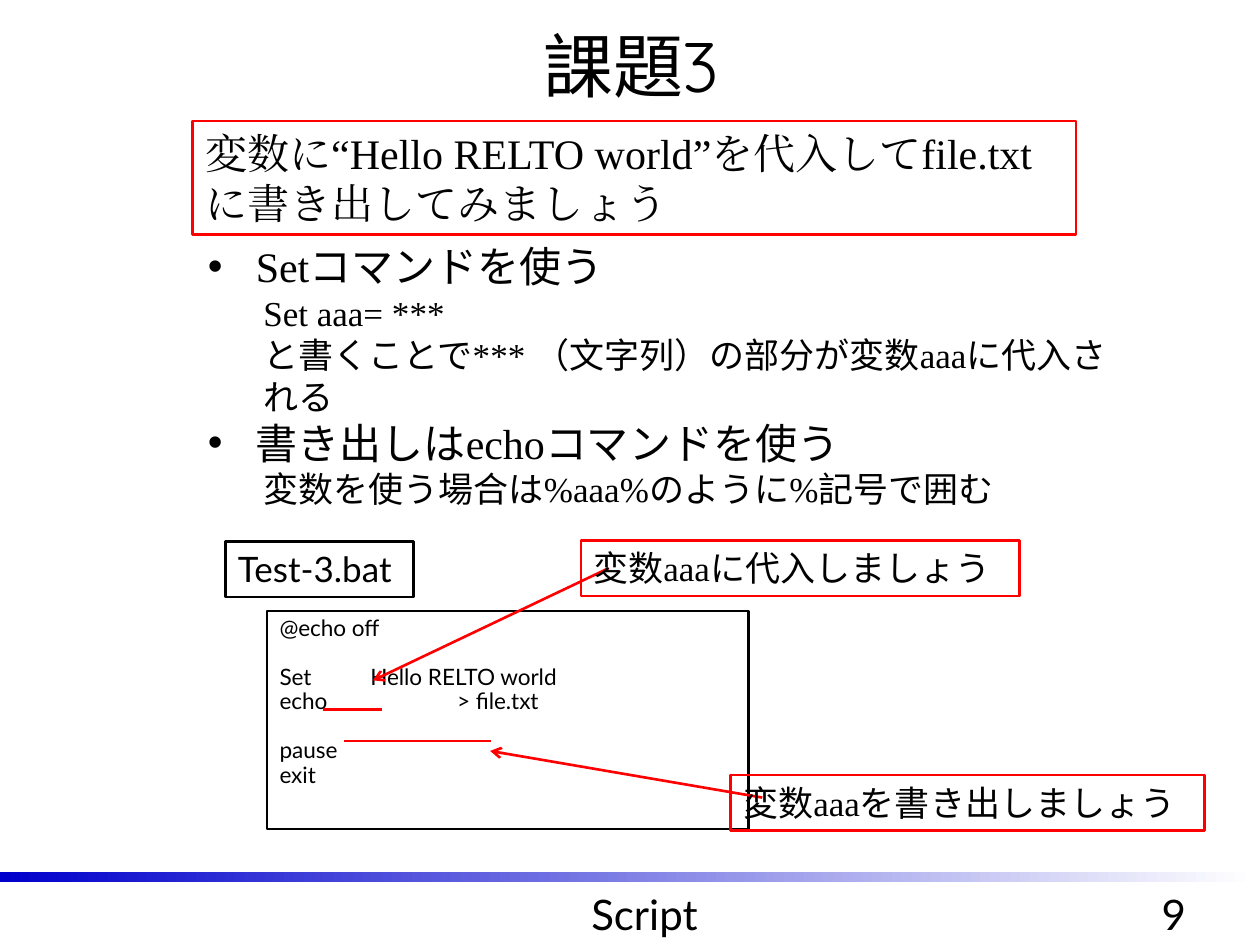
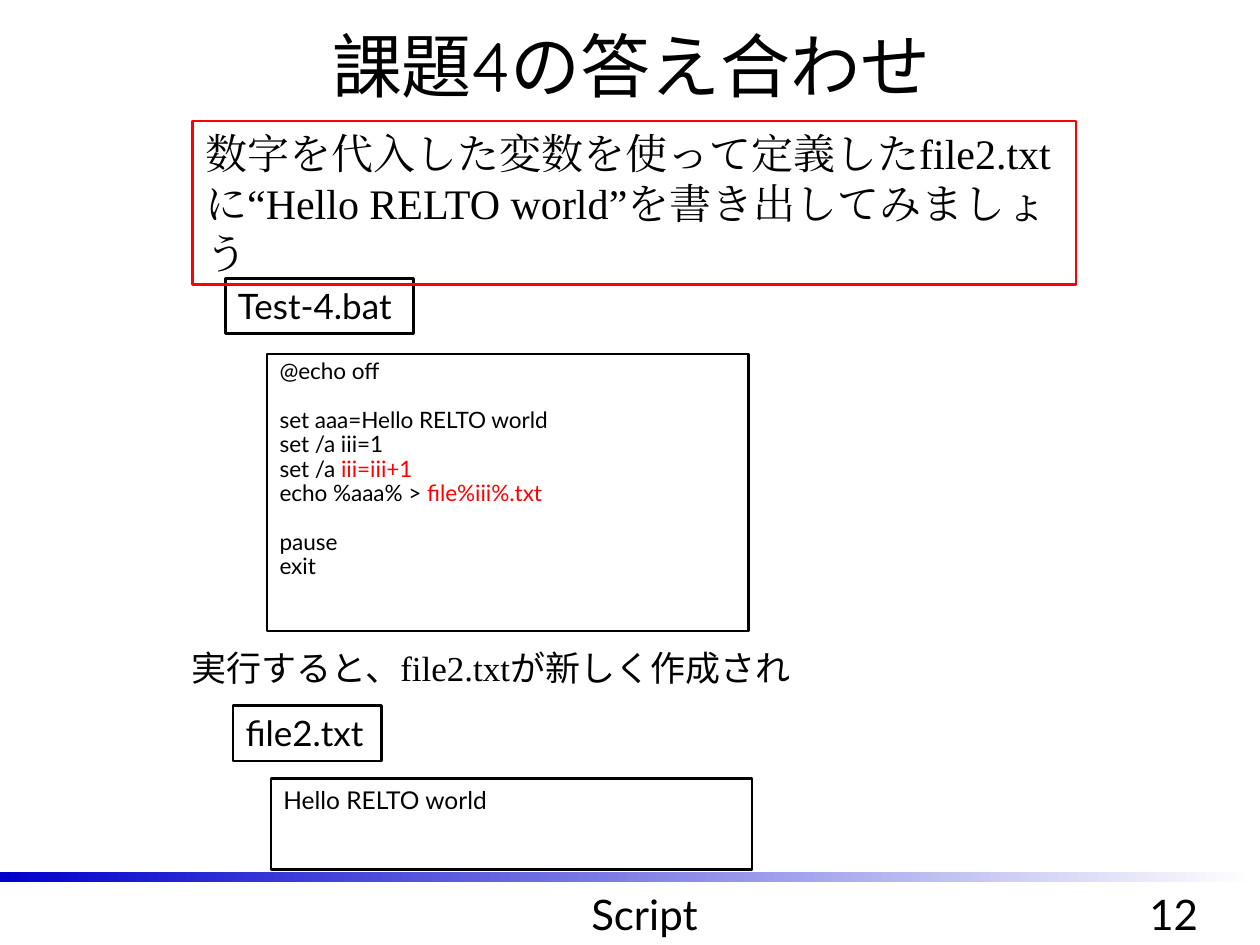
from lxml.etree import SubElement
from pptx import Presentation
from pptx.dml.color import RGBColor
from pptx.enum.shapes import MSO_CONNECTOR as Connector, MSO_SHAPE as Preset
from pptx.enum.text import MSO_ANCHOR as Anchor, MSO_AUTO_SIZE as AutoSize, PP_ALIGN as Align
from pptx.oxml.ns import qn
from pptx.util import Inches, Pt

BLACK = RGBColor(0x00, 0x00, 0x00)
RED = RGBColor(0xFF, 0x00, 0x00)
WHITE = RGBColor(0xFF, 0xFF, 0xFF)
BLUE = RGBColor(0x00, 0x00, 0xCC)

LATIN = "Lato"
SERIF = "Times New Roman"
HEADING = "Quicksand"

GREETING = "Hello RELTO world"
TITLE_AND_BODY, TITLE_ONLY = 1, 5
CODE_SIZE = 12.9
CODE_GAP = Pt(14)
TIGHT = {"space_before": Pt(0), "alignment": Align.LEFT}
CENTRED = {"space_before": Pt(0), "alignment": Align.CENTER}
FRAME = {
    "margin_left": Inches(0.1), "margin_right": Inches(0.1),
    "margin_top": Inches(0.05), "margin_bottom": Inches(0.05),
    "vertical_anchor": Anchor.TOP, "auto_size": AutoSize.NONE, "word_wrap": True,
}
GROWING = {"auto_size": AutoSize.SHAPE_TO_FIT_TEXT}
UNWRAPPED = {**GROWING, "word_wrap": False}
LABEL = {**GROWING, "margin_right": Inches(0)}


def apply(target, values):
    """Set every attribute named in a dict of format values."""
    for name, value in values.items():
        setattr(target, name, value)


def inches(*lengths):
    """Turn numbers into lengths."""
    return [Inches(length) for length in lengths]


def place(shape, area):
    """Move and size a shape to left, top, width, height."""
    apply(shape, dict(zip(("left", "top", "width", "height"), inches(*area))))


def write(para, text, size, font, layout=TIGHT):
    """Fill a paragraph with plain text or with (text, colour) pairs."""
    apply(para, layout)
    for words, colour in [(text, BLACK)] if isinstance(text, str) else text:
        span = para.add_run()
        span.text = words
        apply(span.font, {"size": Pt(size), "name": font})
        span.font.color.rgb = colour


def paragraphs(frame, count):
    """Give the first paragraph and as many added ones as are needed."""
    return [frame.paragraphs[0]] + [frame.add_paragraph() for _ in range(count - 1)]


def add_title(page, text):
    """Put the heading in the title placeholder."""
    title = page.shapes.title
    place(title, (1.98, -0.11, 6.06, 1.25))
    apply(title.text_frame, {**FRAME, "vertical_anchor": Anchor.MIDDLE})
    write(title.text_frame.paragraphs[0], text, 40, HEADING, CENTRED)


def add_text(page, area, text, size, font, layout=TIGHT, frame=GROWING):
    """Add a text box of one paragraph."""
    box = page.shapes.add_textbox(*inches(*area))
    apply(box.text_frame, {**FRAME, **frame})
    write(box.text_frame.paragraphs[0], text, size, font, layout)


def add_footer(page, number):
    """Draw the gradient band, the section name and the page number."""
    band = page.shapes.add_shape(Preset.RECTANGLE, *inches(0, 6.92, 9.96, 0.08))
    band.shadow.inherit = False
    band.line.fill.background()
    band.fill.gradient()
    band.fill.gradient_angle = 0
    for stop, colour in zip(band.fill.gradient_stops, (BLUE, WHITE)):
        stop.color.rgb = colour
    add_text(page, (8.92, 7, 0.79, 0.5), number, 24, LATIN, CENTRED)
    add_text(page, (3.58, 7, 3.07, 0.5), "Script", 24, LATIN, CENTRED)


def add_frame(page, area, colour, fill=None, frame=FRAME):
    """Add an outlined rectangle ready for text."""
    box = page.shapes.add_shape(Preset.RECTANGLE, *inches(*area))
    box.shadow.inherit = False
    if fill is None:
        box.fill.background()
    else:
        box.fill.solid()
        box.fill.fore_color.rgb = fill
    box.line.color.rgb = colour
    box.line.width = Pt(1.5)
    apply(box.text_frame, {**FRAME, **frame})
    return box


def add_task(page, height, text):
    """Add the red box that states the task, with narrow quotation marks."""
    box = add_frame(page, (1.53, 0.96, 7.01, height), RED, frame=GROWING)
    para = box.text_frame.paragraphs[0]
    write(para, text, 24, SERIF)
    for span in para.runs:
        SubElement(span._r.get_or_add_rPr(), qn("a:ea"), typeface=SERIF)


def add_label(page, left, top, width, text, colour=BLACK, font=LATIN):
    """Add a one-line box for a file name or a hint."""
    box = add_frame(page, (left, top, width, 0.44), colour, frame=LABEL)
    write(box.text_frame.paragraphs[0], text, 20, font)


def add_code(page, area, groups, tabs=None):
    """Add a listing whose groups of lines stand apart; tabs maps lines to tab stops."""
    box = add_frame(page, area, BLACK, WHITE)
    lines = [(line, CODE_GAP if index == 0 and group is not groups[0] else Pt(0))
             for group in groups for index, line in enumerate(group)]
    for para, (line, gap) in zip(paragraphs(box.text_frame, len(lines)), lines):
        write(para, line, CODE_SIZE, LATIN,
              {**TIGHT, "space_before": gap, "line_spacing": 0.9})
        if tabs and line in tabs:
            stops = SubElement(para._p.get_or_add_pPr(), qn("a:tabLst"))
            SubElement(stops, qn("a:tab"), pos=str(Inches(tabs[line])), algn="l")


def add_body(page, area, items):
    """Fill the body placeholder with (level, text) items."""
    body = page.placeholders[1]
    place(body, area)
    apply(body.text_frame, {**FRAME, **GROWING})
    for para, (level, text) in zip(paragraphs(body.text_frame, len(items)), items):
        write(para, text, 20 if level else 24, SERIF, {**TIGHT, "level": level})
        margin, indent = (0.44, 0) if level else (0.38, -0.38)
        settings = para._p.get_or_add_pPr()
        settings.set("marL", str(Inches(margin)))
        settings.set("indent", str(Inches(indent)))
        if level:
            SubElement(settings, qn("a:buNone"))
        else:
            SubElement(settings, qn("a:buChar"), char="•")


def add_line(page, start, end, arrow=False):
    """Draw a red line, with an open arrowhead if asked."""
    line = page.shapes.add_connector(Connector.STRAIGHT, *inches(*start, *end))
    line.line.color.rgb = RED
    line.line.width = Pt(1.5)
    properties = line._element.spPr
    if arrow:
        SubElement(properties.find(qn("a:ln")), qn("a:tailEnd"), type="arrow")
    SubElement(properties, qn("a:effectLst"))


def build_task_page(deck):
    """Build the page that sets task 3."""
    page = deck.slides.add_slide(deck.slide_layouts[TITLE_AND_BODY])
    add_footer(page, "9")
    add_task(page, 0.9, f"変数に“{GREETING}”を代入してfile.txtに書き出してみましょう")
    add_title(page, "課題3")
    add_body(page, (1.55, 1.86, 7.37, 2.24), [
        (0, "Setコマンドを使う"),
        (1, "Set aaa= ***"),
        (1, "と書くことで*** （文字列）の部分が変数aaaに代入される"),
        (0, "書き出しはechoコマンドを使う"),
        (1, "変数を使う場合は%aaa%のように%記号で囲む"),
    ])
    add_label(page, 1.79, 4.3, 1.49, "Test-3.bat")
    assign, output = f"Set\t{GREETING}", "echo\t> file.txt"
    add_code(page, (2.12, 4.85, 3.82, 1.73),
             [["@echo off"], [assign, output], ["pause", "exit"]],
             {assign: 0.72, output: 1.41})
    add_line(page, (2.56, 5.63), (3.03, 5.63))
    add_line(page, (4.83, 4.51), (2.96, 5.4), arrow=True)
    add_label(page, 4.61, 4.29, 3.48, "変数aaaに代入しましょう", RED, SERIF)
    add_line(page, (2.73, 5.88), (3.9, 5.88))
    add_line(page, (6.05, 6.33), (3.89, 5.96), arrow=True)
    add_label(page, 5.8, 6.15, 3.76, "変数aaaを書き出しましょう", RED, SERIF)


def build_answer_page(deck):
    """Build the page that answers task 4."""
    page = deck.slides.add_slide(deck.slide_layouts[TITLE_ONLY])
    add_footer(page, "12")
    add_title(page, "課題4の答え合わせ")
    add_label(page, 1.79, 2.21, 1.49, "Test-4.bat")
    add_text(page, (1.42, 5.08, 5.1, 0.44), "実行すると、file2.txtが新しく作成され",
             20, SERIF, frame=UNWRAPPED)
    add_label(page, 1.85, 5.6, 1.18, "file2.txt")
    result = add_frame(page, (2.15, 6.18, 3.82, 0.72), BLACK, WHITE)
    write(result.text_frame.paragraphs[0], GREETING, 14, LATIN)
    add_code(page, (2.12, 2.81, 3.82, 2.2), [
        ["@echo off"],
        [f"set aaa={GREETING}",
         "set /a iii=1",
         [("set /a ", BLACK), ("iii=iii+1", RED)],
         [("echo %aaa% > ", BLACK), ("file%iii%.txt", RED)]],
        ["pause", "exit"],
    ])
    add_task(page, 1.3, f"数字を代入した変数を使って定義したfile2.txtに“{GREETING}”を書き出してみましょう")


def main():
    """Build and save the deck."""
    deck = Presentation()
    deck.slide_width, deck.slide_height = inches(10, 7.5)
    build_task_page(deck)
    build_answer_page(deck)
    deck.save("out.pptx")


if __name__ == "__main__":
    main()
